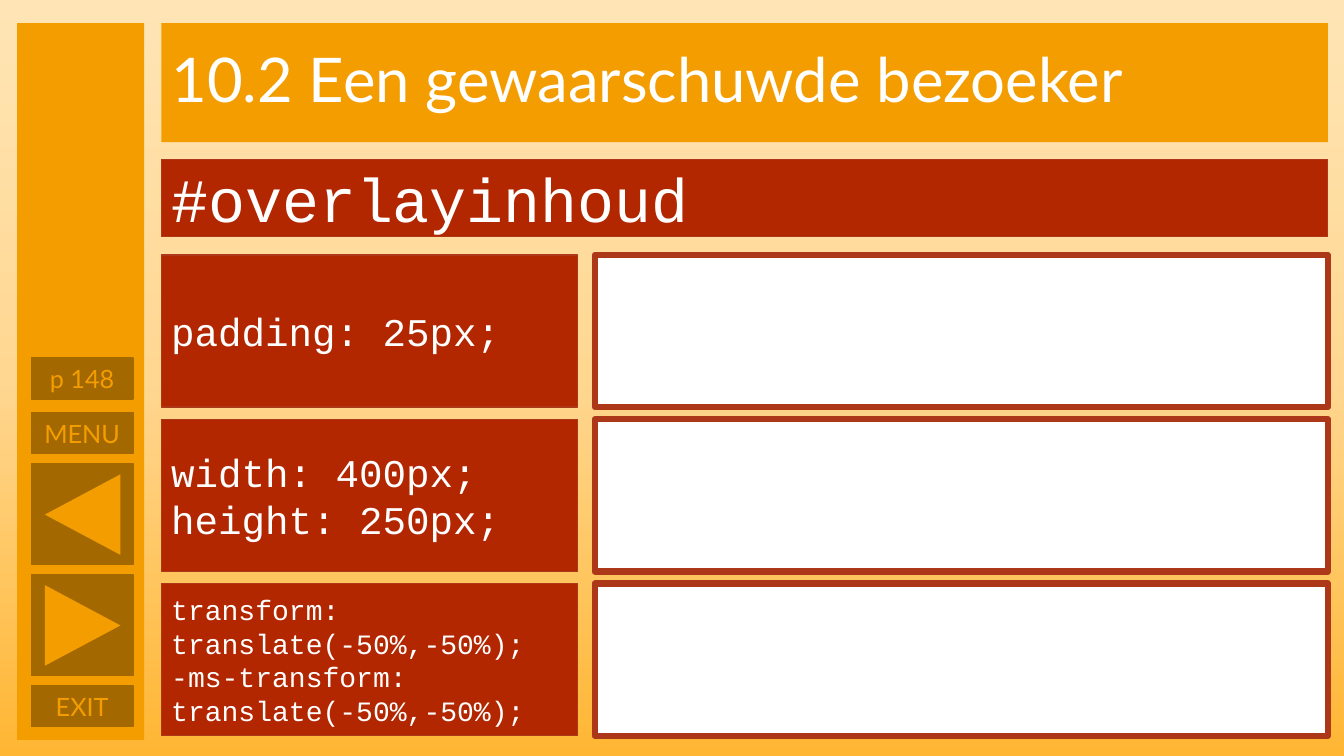
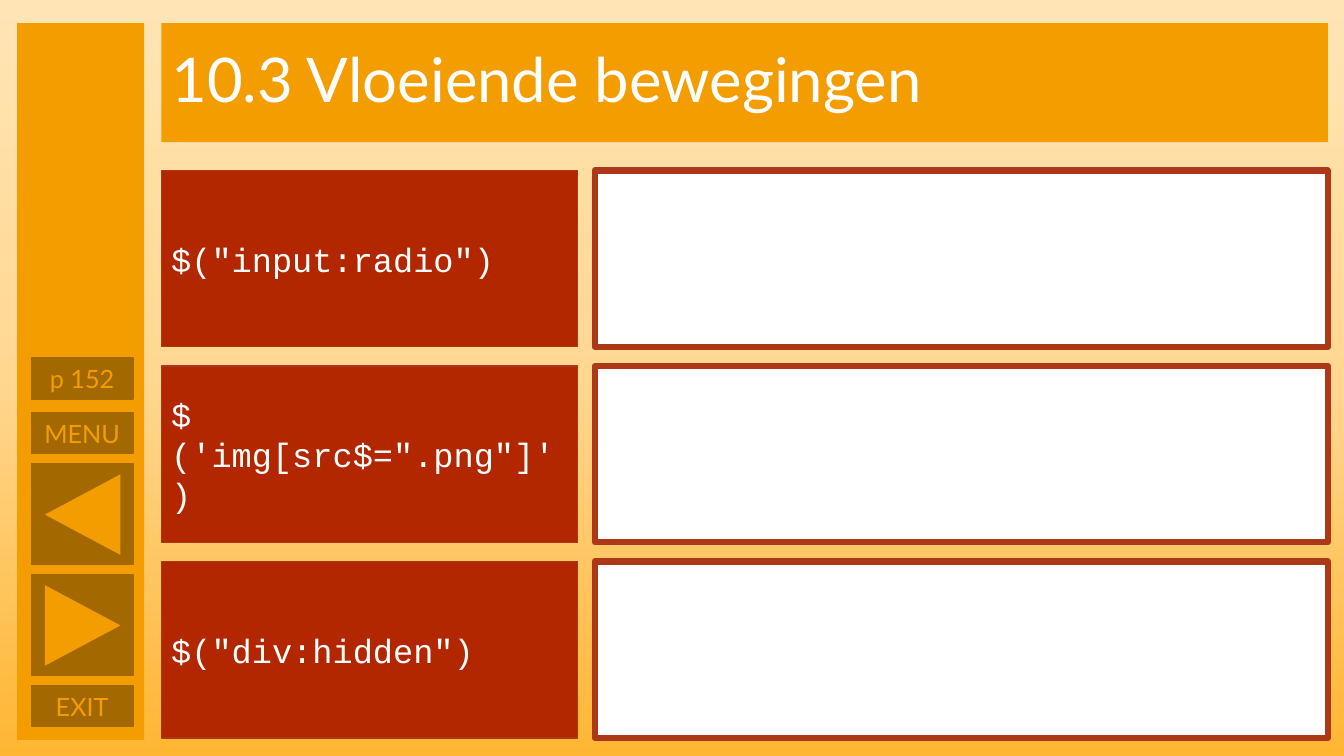
import copy

import pptx
import pptx.dml.color
import pptx.enum.shapes
import pptx.enum.text
import pptx.oxml.ns
import pptx.util

RGB = pptx.dml.color.RGBColor
SHAPE = pptx.enum.shapes.MSO_SHAPE
ALIGN = pptx.enum.text.PP_ALIGN
MIDDLE = pptx.enum.text.MSO_ANCHOR.MIDDLE

ORANGE = RGB(0xF4, 0x9D, 0x00)
BROWN = RGB(0xA3, 0x69, 0x00)
RED = RGB(0xB2, 0x26, 0x00)
RED_EDGE = RGB(0xAC, 0x38, 0x19)
WHITE = RGB(0xFF, 0xFF, 0xFF)
BACKDROP = [
    (0, RGB(0xFF, 0xE5, 0xB5)),
    (0.5, RGB(0xFF, 0xD7, 0x91)),
    (1, RGB(0xFF, 0xB6, 0x33)),
]

TEXT_FONT = "Lato"
CODE_FONT = "Courier New"

EMU_PER_PX = 9144
SLIDE_WIDTH, SLIDE_HEIGHT = 1333, 750
MARGIN_TOP = 23
CONTENT_LEFT, CONTENT_WIDTH = 160, 1157
CODE_WIDTH = 413
ANSWER_LEFT, ANSWER_WIDTH = 590, 727
BUTTON_LEFT, BUTTON_WIDTH = 31, 101
LABEL_HEIGHT, ARROW_HEIGHT = 41, 100


def px(length):
    return pptx.util.Emu(length * EMU_PER_PX)


def place(shape, left, top, width, height):
    shape.left, shape.top = px(left), px(top)
    shape.width, shape.height = px(width), px(height)


def write(shape, text, size, font, color, align=ALIGN.LEFT):
    frame = shape.text_frame
    frame.text = text
    frame.word_wrap = True
    frame.vertical_anchor = MIDDLE
    for paragraph in frame.paragraphs:
        paragraph.alignment = align
        for run in paragraph.runs:
            run.font.size = pptx.util.Pt(size)
            run.font.name = font
            run.font.color.rgb = color


def add_block(slide, box, fill, edge=None, edge_width=1, kind=SHAPE.RECTANGLE):
    block = slide.shapes.add_shape(kind, *map(px, box))
    block.shadow.inherit = False
    block.fill.solid()
    block.fill.fore_color.rgb = fill
    if edge is None:
        block.line.fill.background()
    else:
        block.line.color.rgb = edge
        block.line.width = pptx.util.Pt(edge_width)
    return block


def add_label_button(slide, top, label):
    box = (BUTTON_LEFT, top, BUTTON_WIDTH, LABEL_HEIGHT)
    button = add_block(slide, box, BROWN, BROWN)
    button.text_frame.margin_left = button.text_frame.margin_right = 0
    write(button, label, 18, TEXT_FONT, ORANGE, ALIGN.CENTER)


def add_arrow_button(slide, top, rotation):
    add_block(slide, (BUTTON_LEFT, top, BUTTON_WIDTH, ARROW_HEIGHT), BROWN, BROWN)
    arrow_box = (BUTTON_LEFT + 11, top + 13, 80, 75)
    arrow = add_block(slide, arrow_box, ORANGE, kind=SHAPE.ISOSCELES_TRIANGLE)
    arrow.rotation = rotation


def add_sidebar(slide, page):
    add_block(slide, (17, MARGIN_TOP, 126, 711), ORANGE)
    for top, label in ((355, page), (409, "MENU"), (680, "EXIT")):
        add_label_button(slide, top, label)
    for top, rotation in ((460, 270), (570, 90)):
        add_arrow_button(slide, top, rotation)


def add_code(slide, box, code, size):
    write(add_block(slide, box, RED, RED_EDGE), code, size, CODE_FONT, WHITE)


def add_rows(slide, top, height, gap, rows):
    for index, (code, size) in enumerate(rows):
        row_top = top + index * (height + gap)
        add_code(slide, (CONTENT_LEFT, row_top, CODE_WIDTH, height), code, size)
        answer_box = (ANSWER_LEFT, row_top, ANSWER_WIDTH, height)
        add_block(slide, answer_box, WHITE, RED_EDGE, 4.5)


def add_page(deck, heading, page):
    slide = deck.slides.add_slide(deck.slide_layouts[5])
    title = slide.shapes.title
    place(title, CONTENT_LEFT, MARGIN_TOP, CONTENT_WIDTH, 118)
    title.fill.solid()
    title.fill.fore_color.rgb = ORANGE
    write(title, heading, 44, TEXT_FONT, WHITE)
    title.text_frame.auto_size = pptx.enum.text.MSO_AUTO_SIZE.NONE
    title.text_frame.paragraphs[0].line_spacing = 0.9
    add_sidebar(slide, page)
    return slide


def set_backdrop(master):
    fill = master.background.fill
    fill.gradient()
    fill.gradient_angle = 270
    stops = master.element.find(".//" + pptx.oxml.ns.qn("a:gsLst"))
    stops.append(copy.deepcopy(stops[-1]))
    for stop, (position, color) in zip(fill.gradient_stops, BACKDROP):
        stop.position = position
        stop.color.rgb = color


def main():
    deck = pptx.Presentation()
    deck.slide_width, deck.slide_height = px(SLIDE_WIDTH), px(SLIDE_HEIGHT)
    set_backdrop(deck.slide_master)

    overlay = add_page(deck, "10.2 Een gewaarschuwde bezoeker", "p 148")
    add_code(overlay, (CONTENT_LEFT, 158, CONTENT_WIDTH, 77), "#overlayinhoud", 44)
    translate = "transform:\ntranslate(-50%,-50%);"
    add_rows(overlay, 253, 151, 12, [
        ("padding: 25px;", 28),
        ("width: 400px;\nheight: 250px;", 28),
        (f"{translate}\n-ms-{translate}", 20),
    ])

    selectors = add_page(deck, "10.3 Vloeiende bewegingen", "p 152")
    add_rows(selectors, 169, 175, 19, [
        ('$("input:radio")', 24),
        ("$('img[src$=\".png\"]')", 24),
        ('$("div:hidden")', 24),
    ])

    deck.save("out.pptx")


if __name__ == "__main__":
    main()
